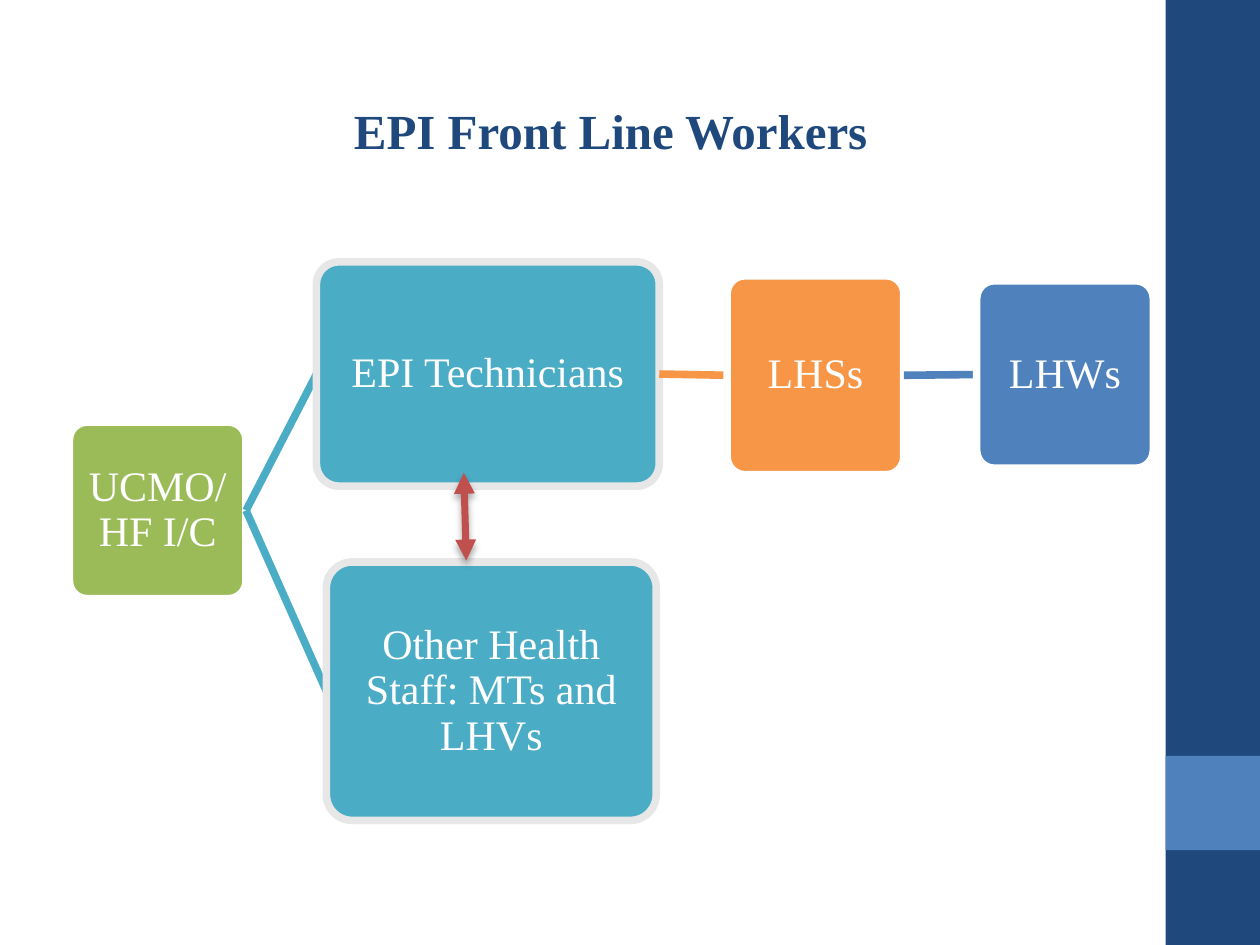
from dataclasses import dataclass
from typing import Optional

from lxml.etree import SubElement
from pptx import Presentation
from pptx.dml.color import RGBColor
from pptx.enum.shapes import MSO_CONNECTOR, MSO_SHAPE
from pptx.enum.text import MSO_ANCHOR, PP_ALIGN
from pptx.oxml.ns import qn
from pptx.util import Cm, Pt


@dataclass(frozen=True)
class Theme:
    font: str = "Times New Roman"
    head: int = 28
    body: int = 24
    edge: float = 4.33
    arrow: float = 4
    white: str = "FFFFFF"
    gray: str = "E7E7E7"
    navy: str = "1F497D"
    blue: str = "4F81BD"
    teal: str = "4BACC6"
    green: str = "9BBB59"
    orange: str = "F79646"
    red: str = "C0504D"


@dataclass(frozen=True)
class Node:
    text: str
    left: float
    top: float
    width: float
    height: float
    fill: str
    edge: str
    parent: Optional["Node"] = None

    @property
    def right(self) -> float:
        return self.left + self.width

    @property
    def mid(self) -> float:
        return self.top + self.height / 2


theme = Theme()
deck = Presentation()
deck.slide_width, deck.slide_height = Cm(25.4), Cm(19.05)
slide = deck.slides.add_slide(deck.slide_layouts[6])


def color(code: str) -> RGBColor:
    return RGBColor.from_string(code)


def style(para, size: int, code: str, bold: bool = False) -> None:
    para.alignment = PP_ALIGN.CENTER
    para.font.name = theme.font
    para.font.size = Pt(size)
    para.font.bold = bold
    para.font.color.rgb = color(code)


def block(kind, left: float, top: float, width: float, height: float, fill: str):
    shape = slide.shapes.add_shape(kind, Cm(left), Cm(top), Cm(width), Cm(height))
    shape.shadow.inherit = False
    shape.fill.solid()
    shape.fill.fore_color.rgb = color(fill)
    shape.line.fill.background()
    return shape


def link(x1: float, y1: float, x2: float, y2: float, code: str, width: float):
    line = slide.shapes.add_connector(
        MSO_CONNECTOR.STRAIGHT, Cm(x1), Cm(y1), Cm(x2), Cm(y2))
    line.line.color.rgb = color(code)
    line.line.width = Pt(width)
    SubElement(line._element.spPr, qn("a:effectLst"))
    return line


def arrow(x1: float, y1: float, x2: float, y2: float) -> None:
    line = link(x1, y1, x2, y2, theme.red, theme.arrow)
    props = line._element.spPr
    for end in ("a:headEnd", "a:tailEnd"):
        SubElement(props.find(qn("a:ln")), qn(end), type="triangle")
    glow = SubElement(props.find(qn("a:effectLst")), qn("a:outerShdw"),
                      blurRad=str(Pt(4)), dist=str(Pt(3)), dir="5400000", rotWithShape="0")
    tint = SubElement(glow, qn("a:srgbClr"), val="000000")
    SubElement(tint, qn("a:alpha"), val="35000")


def draw(node: Node) -> None:
    if node.parent:
        link(node.parent.right, node.parent.mid, node.left, node.mid, node.fill, theme.edge)
    shape = block(MSO_SHAPE.ROUNDED_RECTANGLE, node.left, node.top,
                  node.width, node.height, node.fill)
    shape.adjustments[0] = 0.1
    shape.line.color.rgb = color(node.edge)
    shape.line.width = Pt(theme.edge)
    frame = shape.text_frame
    frame.word_wrap = True
    frame.vertical_anchor = MSO_ANCHOR.MIDDLE
    frame.margin_left = frame.margin_right = Cm(0.05)
    frame.margin_top = frame.margin_bottom = Cm(0.05)
    frame.text = node.text
    para = frame.paragraphs[0]
    para.line_spacing = 0.9
    style(para, theme.body, theme.white)


def title(text: str) -> None:
    box = slide.shapes.add_textbox(Cm(2.11), Cm(1.9), Cm(20.4), Cm(1.45))
    frame = box.text_frame
    frame.word_wrap = True
    frame.text = text
    style(frame.paragraphs[0], theme.head, theme.navy, True)


side = 3.56
chief = Node("UCMO/ HF I/C", 1.4, 8.51, side, side, theme.green, theme.white)
tech = Node("EPI Technicians", 6.38, 5.28, 6.91, 4.52, theme.teal, theme.gray, chief)
lead = Node("LHSs", 14.66, 5.56, side, 4.01, theme.orange, theme.white, tech)
worker = Node("LHWs", 19.69, 5.66, side, 3.78, theme.blue, theme.white, lead)
staff = Node("Other Health Staff: MTs and LHVs", 6.58, 11.33, 6.65, 5.21,
             theme.teal, theme.gray, chief)

block(MSO_SHAPE.RECTANGLE, 23.5, 0, 1.9, 19.05, theme.navy)
block(MSO_SHAPE.RECTANGLE, 23.5, 15.24, 1.9, 1.9, theme.blue)
for node in (chief, tech, lead, worker, staff):
    draw(node)
title("EPI Front Line Workers")
arrow(9.35, 9.53, 9.4, 11.3)

deck.save("out.pptx")
